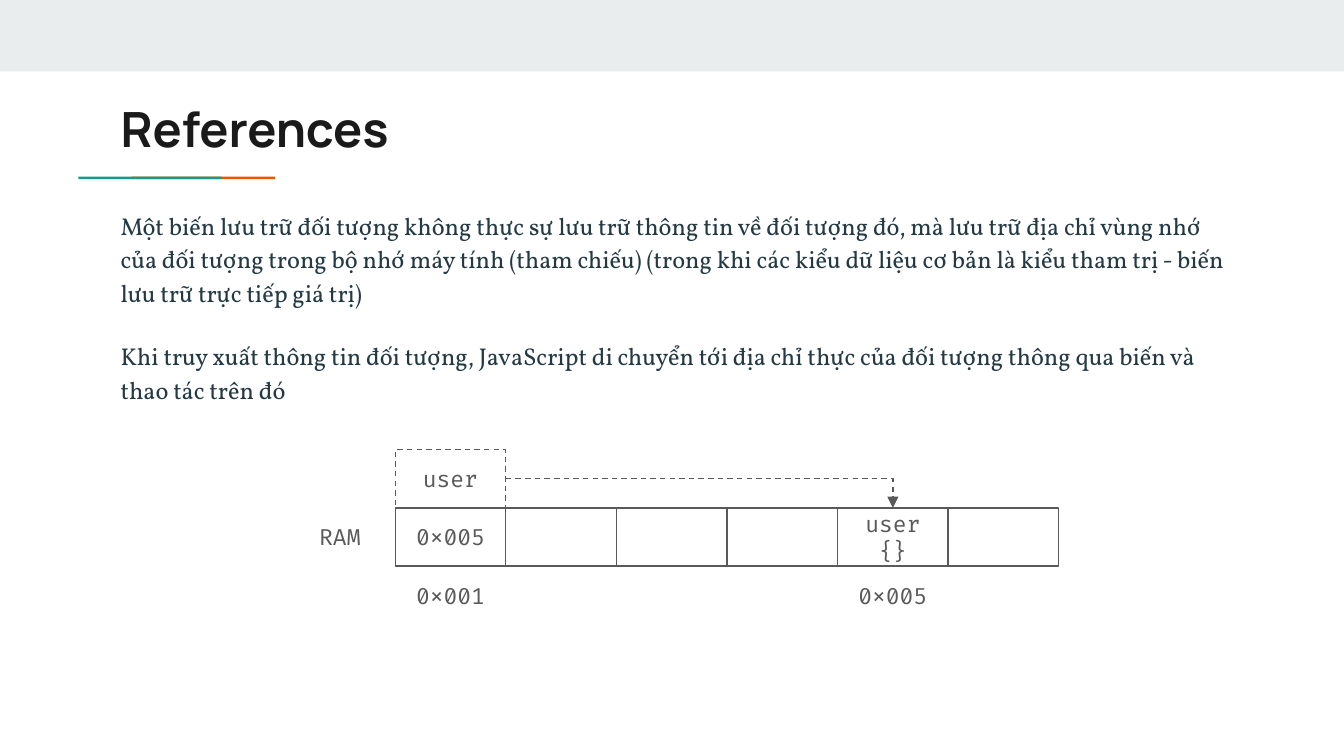
from lxml.etree import SubElement
from pptx import Presentation
from pptx.dml.color import RGBColor
from pptx.enum.dml import MSO_LINE
from pptx.enum.shapes import MSO_CONNECTOR, MSO_SHAPE
from pptx.enum.text import MSO_ANCHOR, MSO_AUTO_SIZE, PP_ALIGN
from pptx.oxml.ns import qn
from pptx.util import Cm, Pt

COLORS = {"band": "E9EDEE", "teal": "1A9988", "orange": "EB5600",
          "title": "1A1A1A", "body": "233A44", "gray": "595959"}

# Content
TITLE = "References"
BODY = [
    "Một biến lưu trữ đối tượng không thực sự lưu trữ thông tin về đối tượng đó, "
    "mà lưu trữ địa chỉ vùng nhớ của đối tượng trong bộ nhớ máy tính (tham chiếu) "
    "(trong khi các kiểu dữ liệu cơ bản là kiểu tham trị - biến lưu trữ trực tiếp giá trị)",
    "Khi truy xuất thông tin đối tượng, JavaScript di chuyển tới địa chỉ thực của "
    "đối tượng thông qua biến và thao tác trên đó",
]
CELLS = ["0x005", "", "", "", "user {}", ""]
LABELS = [("RAM", -1, 0), ("0x001", 0, 1), ("0x005", 4, 1)]  # text, column, row
BARS = [("band", 0, 0, 25.4, 1.35), ("orange", 2.49, 3.34, 2.71, 0.05),
        ("teal", 1.48, 3.34, 2.71, 0.05)]

# Formats
FONTS = {
    "title": {"name": "Manrope", "size": Pt(26), "bold": True},
    "body": {"name": "Vollkorn", "size": Pt(13)},
    "gray": {"name": "Fira Code", "size": Pt(12)},
}
FRAME = {"word_wrap": True, "auto_size": MSO_AUTO_SIZE.NONE,
         "margin_left": Cm(0.25), "margin_right": Cm(0.25),
         "margin_top": Cm(0.25), "margin_bottom": Cm(0.25)}

# Memory grid, in cm
LEFT, TOP, WIDE, HIGH = 7.47, 9.6, 2.09, 1.1


def rgb(key):
    return RGBColor.from_string(COLORS[key])


def write(shape, lines, style, align=PP_ALIGN.LEFT, anchor=MSO_ANCHOR.TOP):
    frame = shape.text_frame
    frame.text = "\n".join(lines)
    for name, value in {**FRAME, "vertical_anchor": anchor}.items():
        setattr(frame, name, value)
    for para in frame.paragraphs:
        para.alignment = align
        for name, value in FONTS[style].items():
            setattr(para.font, name, value)
        para.font.color.rgb = rgb(style)
    return frame.paragraphs


def place(col, row):
    return Cm(LEFT + col * WIDE), Cm(TOP + row * HIGH), Cm(WIDE), Cm(HIGH)


def label(shape, text):
    write(shape, [text], "gray", PP_ALIGN.CENTER, MSO_ANCHOR.MIDDLE)


def stroke(line, dash=None):
    line.color.rgb = rgb("gray")
    line.width = Pt(0.75)
    if dash:
        line.dash_style = dash


def cell(shapes, text, col, row, dash=None):
    box = shapes.add_shape(MSO_SHAPE.RECTANGLE, *place(col, row))
    box.shadow.inherit = False
    box.fill.background()
    stroke(box.line, dash)
    if text:
        label(box, text)
    return box


def main():
    deck = Presentation()
    deck.slide_width, deck.slide_height = Cm(25.4), Cm(14.29)
    slide = deck.slides.add_slide(deck.slide_layouts[5])
    shapes = slide.shapes

    # Top band and accent rule
    for key, *rect in BARS:
        bar = shapes.add_shape(MSO_SHAPE.RECTANGLE, *map(Cm, rect))
        bar.shadow.inherit = False
        bar.fill.solid()
        bar.fill.fore_color.rgb = rgb(key)
        bar.line.fill.background()

    # Title and body
    title = shapes.title
    title.left, title.top, title.width, title.height = map(Cm, (2.03, 1.63, 21.36, 1.5))
    write(title, [TITLE], "title")
    body = shapes.add_textbox(*map(Cm, (2.03, 3.66, 21.36, 9.96)))
    paras = write(body, BODY, "body")
    for para in paras:
        para.line_spacing = 1.15
    paras[1].space_before = Pt(16)

    # Memory cells, variable and labels
    cells = [cell(shapes, text, col, 0) for col, text in enumerate(CELLS)]
    user = cell(shapes, "user", 0, -1, MSO_LINE.DASH)
    for text, col, row in LABELS:
        label(shapes.add_textbox(*place(col, row)), text)

    # Reference arrow from the variable to its object
    arrow = shapes.add_connector(MSO_CONNECTOR.ELBOW, 0, 0, 0, 0)
    arrow.begin_connect(user, 3)
    arrow.end_connect(cells[4], 0)
    stroke(arrow.line, MSO_LINE.DASH)
    props = arrow._element.spPr
    props.find(qn("a:prstGeom")).set("prst", "bentConnector2")
    SubElement(props.find(qn("a:ln")), qn("a:tailEnd"), type="triangle")
    SubElement(props, qn("a:effectLst"))

    deck.save("out.pptx")


if __name__ == "__main__":
    main()
